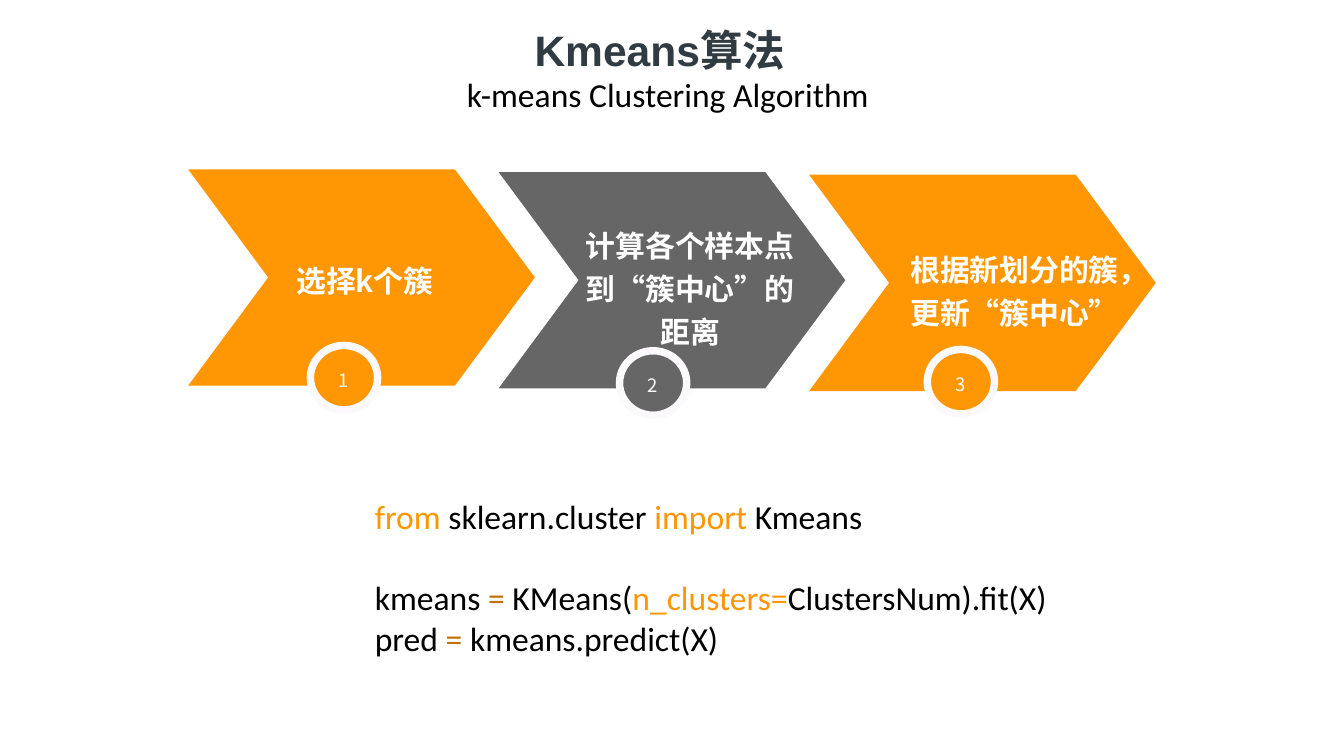
from dataclasses import dataclass
from lxml.etree import SubElement
from pptx import Presentation
from pptx.dml.color import RGBColor
from pptx.enum.shapes import MSO_SHAPE
from pptx.enum.text import MSO_ANCHOR, MSO_AUTO_SIZE, PP_ALIGN
from pptx.oxml.ns import qn
from pptx.util import Inches, Pt


@dataclass(frozen=True)
class Theme:
    orange: str = "FF9603"
    brown: str = "C27100"
    gray: str = "666666"
    slate: str = "313C42"
    black: str = "000000"
    white: str = "FFFFFF"
    ring: str = "FBF9FC"
    head: float = 22.8
    body: float = 18
    label: float = 16
    num: float = 9.9
    cjk: str = "Noto Sans CJK SC"


theme = Theme()


def write(shape, lines, size=theme.body, font="Calibri", color=theme.black,
          bold=False, align=PP_ALIGN.CENTER, anchor=MSO_ANCHOR.MIDDLE,
          inset=(0, 0), spacing=1.0, gaps=None):
    """Fill a shape with lines of (text, color) runs; a plain string is one line."""
    frame = shape.text_frame
    frame.word_wrap = True
    frame.auto_size = MSO_AUTO_SIZE.NONE
    frame.vertical_anchor = anchor
    frame.margin_left = frame.margin_right = Inches(inset[0])
    frame.margin_top = frame.margin_bottom = Inches(inset[1])
    if isinstance(lines, str):
        lines = [[(lines, color)]]
    for i, line in enumerate(lines):
        para = frame.add_paragraph() if i else frame.paragraphs[0]
        para.alignment = align
        para.line_spacing = spacing
        para.space_before = Pt((gaps or {}).get(i, 0))
        for text, tint in line:
            run = para.add_run()
            run.text = text
            run.font.size = Pt(size)
            run.font.bold = bold
            run.font.color.rgb = RGBColor.from_string(tint)
            run.font.name = font
            # East Asian glyphs take their own typeface
            SubElement(run.font._element, qn("a:ea"), typeface=theme.cjk)


def draw(kind, x, y, w, h, fill):
    shape = slide.shapes.add_shape(kind, Inches(x), Inches(y), Inches(w), Inches(h))
    shape.shadow.inherit = False
    shape.fill.solid()
    shape.fill.fore_color.rgb = RGBColor.from_string(fill)
    shape.line.fill.background()
    return shape


deck = Presentation()
deck.slide_width = Inches(10)
deck.slide_height = Inches(10) * 9 // 16
slide = deck.slides.add_slide(deck.slide_layouts[5])

title = slide.shapes.title
title.left, title.top = Inches(3.82), Inches(0.18)
title.width, title.height = Inches(2.18), Inches(0.38)
write(title, "Kmeans算法", size=theme.head, font="Arial", color=theme.slate, bold=True)

sub = slide.shapes.add_textbox(Inches(3.31), Inches(0.55), Inches(3.32), Inches(0.3))
write(sub, "k-means Clustering Algorithm")

# Step text, its box (left, top, width, height), badge corner, fill
steps = [
    ("选择k个簇", (2.2, 1.91, 1.03, 0.3), (2.31, 2.57), theme.orange),
    ("计算各个样本点到“簇中心”的距离", (4.3, 2, 1.67, 0.24), (4.61, 2.61), theme.gray),
    ("根据新划分的簇，更新“簇中心”", (6.68, 2.02, 1.74, 0.24), (6.9, 2.6), theme.orange),
]
for i, (text, box, spot, fill) in enumerate(steps):
    arrow = draw(MSO_SHAPE.CHEVRON, 1.4 + 2.31 * i, 1.26 + 0.02 * i, 2.58, 1.61, fill)
    arrow.adjustments[0] = 0.37
    label = slide.shapes.add_textbox(*map(Inches, box))
    write(label, text, size=theme.label, font=theme.cjk, color=theme.white,
          bold=True, spacing=1.2)

for i, (text, box, spot, fill) in enumerate(steps, 1):
    badge = draw(MSO_SHAPE.OVAL, *spot, 0.5, 0.48, fill)
    badge.line.color.rgb = RGBColor.from_string(theme.ring)
    badge.line.width = Pt(4)
    write(badge, str(i), size=theme.num, font=theme.cjk, color=theme.white, spacing=1.2)

code = slide.shapes.add_textbox(Inches(2.69), Inches(3.64), Inches(5.61), Inches(1.62))
write(code, [
    [("from ", theme.orange), ("sklearn.cluster ", theme.black),
     ("import ", theme.orange), ("Kmeans", theme.black)],
    [("kmeans ", theme.black), ("= ", theme.brown), ("KMeans(", theme.black),
     ("n_clusters=", theme.orange), ("ClustersNum).fit(X)", theme.black)],
    [("pred ", theme.black), ("= ", theme.brown), ("kmeans.predict(X)", theme.black)],
], align=PP_ALIGN.LEFT, anchor=MSO_ANCHOR.TOP, inset=(0.1, 0.05), gaps={1: 22})

deck.save("out.pptx")
